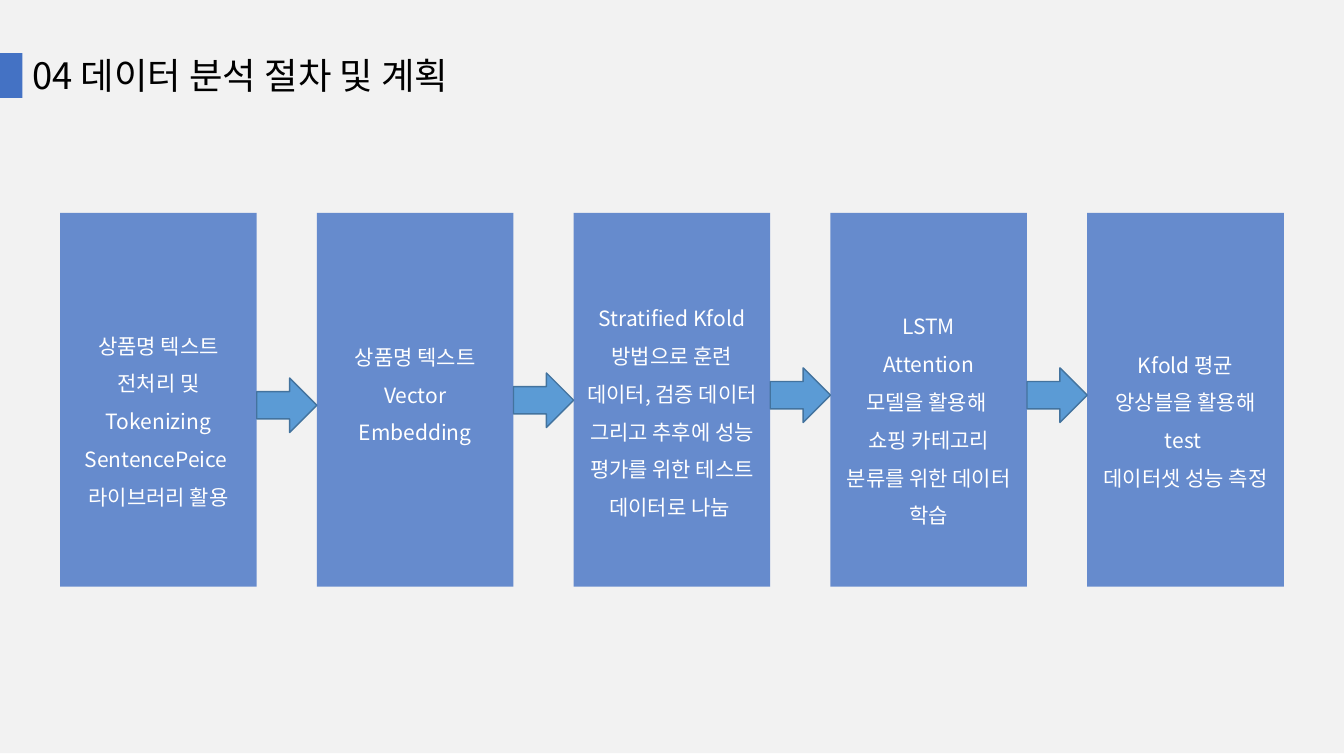
from lxml import etree
from pptx import Presentation
from pptx.dml.color import RGBColor
from pptx.enum.shapes import MSO_SHAPE as SHAPE
from pptx.enum.text import MSO_AUTO_SIZE as AUTO, PP_ALIGN as ALIGN
from pptx.oxml.ns import qn
from pptx.util import Pt


def color(hex_text):
    return RGBColor.from_string(hex_text)


def write(tf, text, size=15, fill="FFFFFF", font="Noto Sans CJK KR",
          align=ALIGN.LEFT, spacing=1.0):
    """Fill a text frame, one paragraph per line of text."""
    for i, line in enumerate(text.split("\n")):
        p = tf.add_paragraph() if i else tf.paragraphs[0]
        p.alignment, p.line_spacing = align, spacing
        r = p.add_run()
        r.text = line
        r.font.size, r.font.name = Pt(size), font
        r.font.color.rgb = color(fill)
        # Hangul takes its font from the East Asian slot
        ea = etree.SubElement(r.font._element, qn("a:ea"))
        ea.set("typeface", font)


class Deck:
    BACK, ACCENT = "F2F2F2", "4472C4"
    ARROW, ARROW_EDGE = "5B9BD5", "43739E"

    def __init__(self, width, height):
        self.prs = Presentation()
        self.prs.slide_width, self.prs.slide_height = Pt(width), Pt(height)
        self.s = self.prs.slides.add_slide(self.prs.slide_layouts[6])

    def shape(self, kind, x, y, w, h, fill, line=None, alpha=None):
        sp = self.s.shapes.add_shape(kind, Pt(x), Pt(y), Pt(w), Pt(h))
        sp.shadow.inherit = False
        sp.fill.solid()
        sp.fill.fore_color.rgb = color(fill)
        if alpha is not None:
            clr = sp.fill._xPr.find(qn("a:solidFill"))[0]
            etree.SubElement(clr, qn("a:alpha")).set("val", str(alpha * 1000))
        if line:
            sp.line.color.rgb = color(line)
            sp.line.width = Pt(1)
        else:
            sp.line.fill.background()

    def rect(self, x, y, w, h, fill, alpha=None):
        self.shape(SHAPE.RECTANGLE, x, y, w, h, fill, alpha=alpha)

    def arrow(self, x, y, w, h):
        self.shape(SHAPE.RIGHT_ARROW, x, y, w, h, self.ARROW, self.ARROW_EDGE)

    def text(self, x, y, w, h, text, **fmt):
        tf = self.s.shapes.add_textbox(Pt(x), Pt(y), Pt(w), Pt(h)).text_frame
        tf.word_wrap = True
        tf.auto_size = AUTO.SHAPE_TO_FIT_TEXT
        write(tf, text, **fmt)


# Text top, text height, text of each step
STEPS = [
    (225.4, 134.6, "상품명 텍스트 전처리 및 Tokenizing\nSentencePeice \n라이브러리 활용"),
    (233.5, 107.3, "상품명 텍스트 Vector Embedding"),
    (205.9, 167.8, "Stratified Kfold 방법으로 훈련 데이터, 검증 데이터 그리고 "
                   "추후에 성능 평가를 위한 테스트 데이터로 나눔 "),
    (211.7, 140.4, "LSTM\nAttention\n모델을 활용해 \n쇼핑 카테고리 분류를 위한 데이터 학습"),
    (239, 85.7, "Kfold 평균 앙상블을 활용해 test \n데이터셋 성능 측정"),
]
ARROW_TOPS = [270, 266.4, 262.8, 262.8]
LEFT, TOP, BOX_W, BOX_H, GAP = 43, 152, 140.4, 267, 43
PITCH = BOX_W + GAP


def main():
    deck = Deck(960, 540)

    # Background and title
    deck.rect(0, -2, 960, 540, deck.BACK)
    deck.rect(0, 38, 16, 32, deck.ACCENT)
    deck.text(16, 34.6, 480, 39, "04 데이터 분석 절차 및 계획", size=26, fill="000000")

    # Process steps
    for i, (top, height, label) in enumerate(STEPS):
        x = LEFT + i * PITCH
        deck.rect(x, TOP, BOX_W, BOX_H, deck.ACCENT, alpha=80)
        deck.text(x, top, BOX_W, height, label, align=ALIGN.CENTER, spacing=1.5)

    # Arrows between the steps
    for i, top in enumerate(ARROW_TOPS):
        deck.arrow(LEFT + BOX_W + i * PITCH, top, GAP, 39)

    deck.prs.save("out.pptx")


if __name__ == "__main__":
    main()
